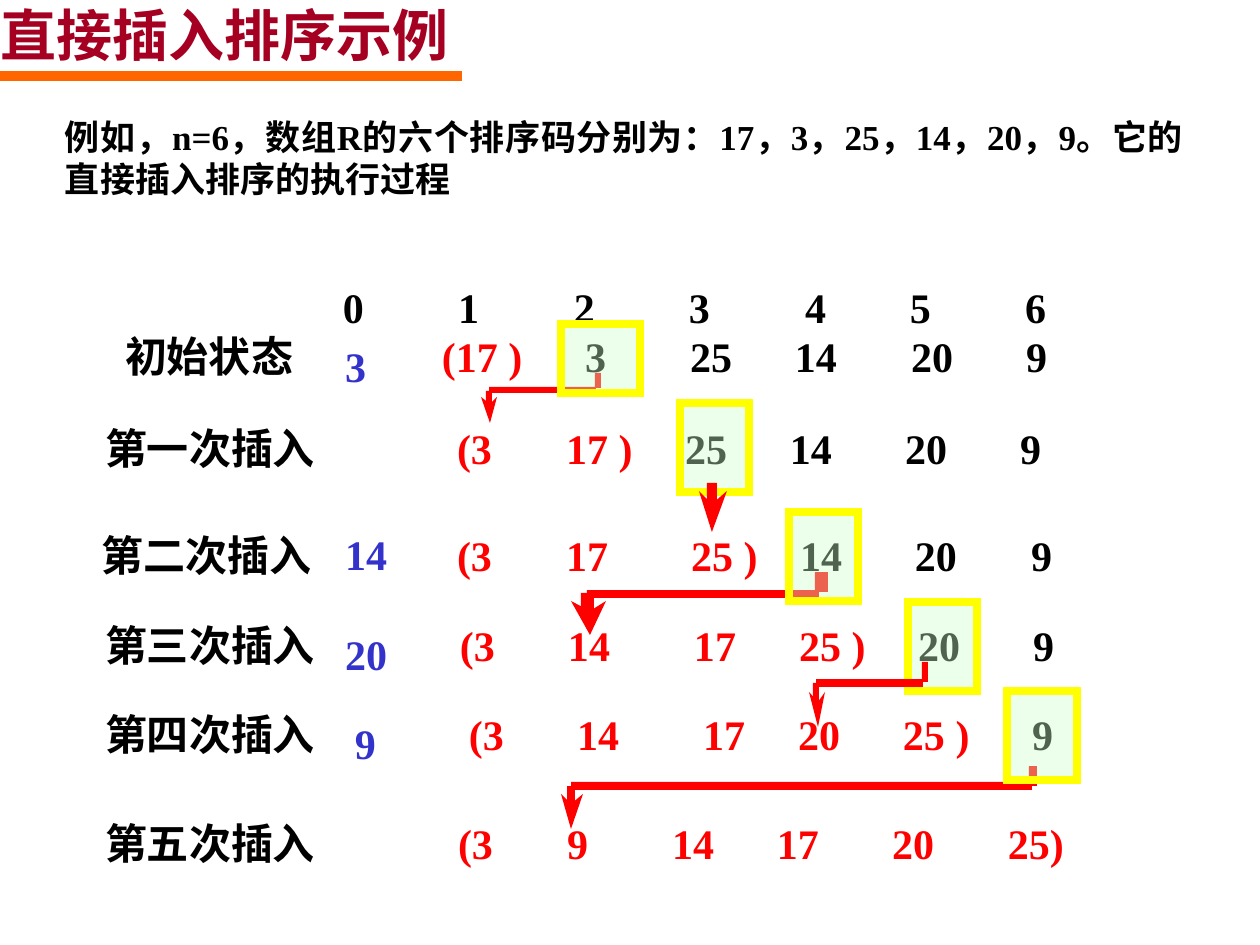
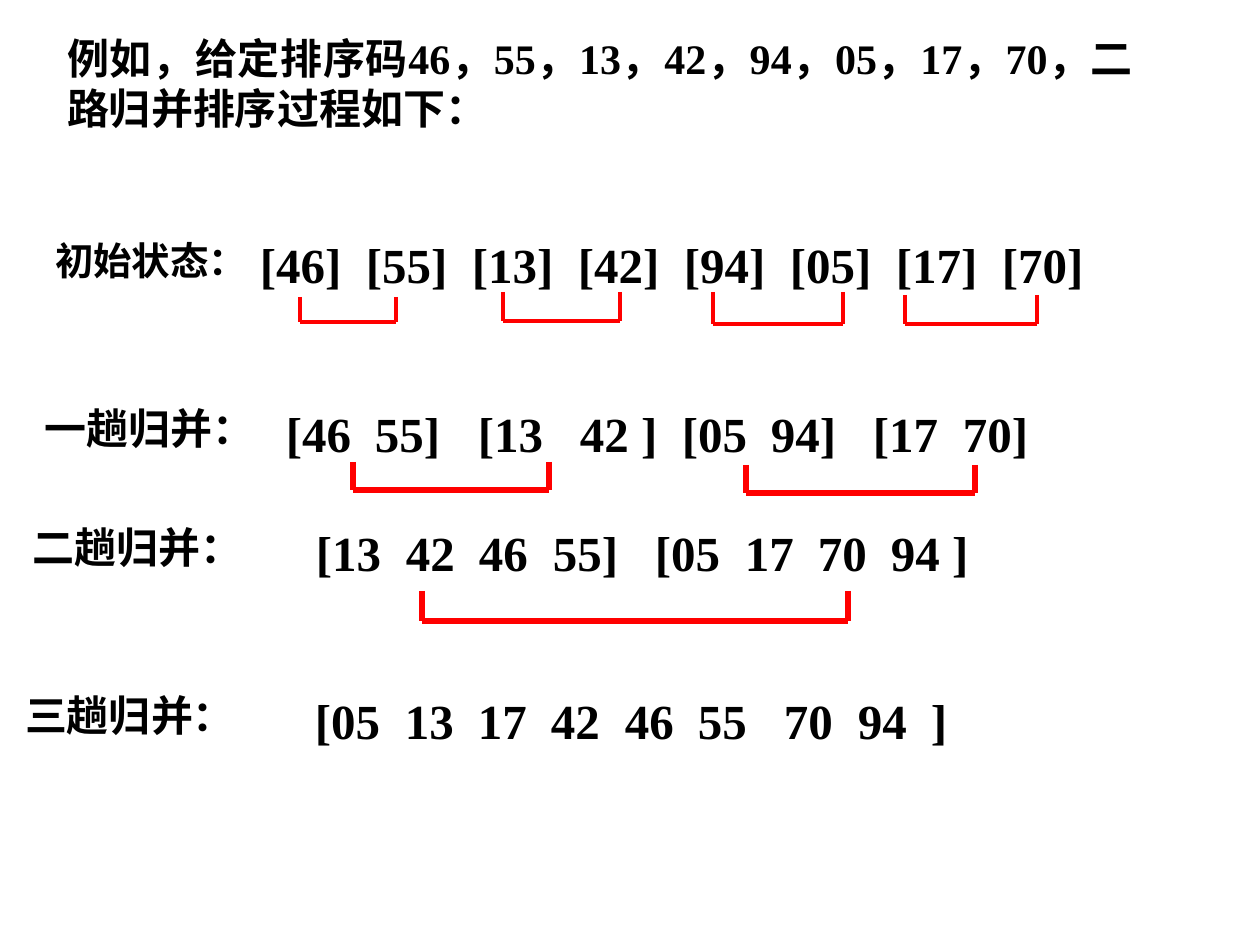
from lxml.etree import SubElement
from pptx import Presentation
from pptx.dml.color import RGBColor
from pptx.enum.shapes import MSO_CONNECTOR as Connector, MSO_SHAPE as Shape
from pptx.enum.text import MSO_ANCHOR as Anchor, MSO_AUTO_SIZE as AutoSize, PP_ALIGN as Align
from pptx.oxml.ns import qn
from pptx.util import Inches, Pt

BLACK = RGBColor(0, 0, 0)
RED = RGBColor(0xFF, 0, 0)
BLUE = RGBColor(0x33, 0x33, 0xCC)
CRIMSON = RGBColor(0xA5, 0, 0x21)
ORANGE = RGBColor(0xFF, 0x66, 0)
YELLOW = RGBColor(0xFF, 0xFF, 0)
MINT = RGBColor(0xCC, 0xFF, 0xCC)
LATIN, CJK = "Times New Roman", "Noto Sans CJK SC"
SCALE = Inches(1) / 126
INSET = (13, 6)

INSERTION = {
    "title": "直接插入排序示例",
    "intro": "例如，n=6，数组R的六个排序码分别为：17，3，25，14，20，9。它的直接插入排序的执行过程",
    "intro_at": (52, 109, 1144, 97),
    "intro_size": 20,
}
INDEXES = [(343, "0"), (458, "1"), (574, "2"), (689, "3"), (805, "4"), (910, "5"), (1025, "6")]
INSERTION_ROWS = [
    ("初始状态", 125, 331, 1,
     [(442, "(17 )"), (585, "3"), (690, "25"), (795, "14"), (911, "20"), (1026, "9")]),
    ("第一次插入", 105, 423, 2,
     [(457, "(3"), (566, "17 )"), (685, "25"), (790, "14"), (905, "20"), (1020, "9")]),
    ("第二次插入", 102, 530, 3,
     [(457, "(3"), (566, "17"), (691, "25 )"), (800, "14"), (915, "20"), (1031, "9")]),
    ("第三次插入", 105, 620, 4,
     [(460, "(3"), (568, "14"), (694, "17"), (799, "25 )"), (918, "20"), (1033, "9")]),
    ("第四次插入", 105, 709, 5,
     [(469, "(3"), (577, "14"), (703, "17"), (798, "20"), (903, "25 )"), (1032, "9")]),
    ("第五次插入", 105, 818, 6,
     [(458, "(3"), (567, "9"), (672, "14"), (777, "17"), (892, "20"), (1008, "25)")]),
]
SENTINELS = [("3", 332, 335), ("14", 332, 523), ("20", 332, 623), ("9", 342, 712)]
NEXT_KEYS = [(561, 324, 79, 69), (680, 403, 69, 89), (789, 512, 69, 89),
             (908, 602, 69, 89), (1007, 691, 70, 89)]
MOVES_UNDER = [
    ([(486, 391, 6, 18), (489, 387, 107, 6), (595, 373, 6, 15)], (481, 490, 497, 397, 404, 423)),
    ([(581, 593, 13, 23), (587, 590, 232, 8), (815, 572, 13, 20)], (571, 590, 606, 601, 611, 635)),
    ([(567, 786, 8, 21), (571, 782, 461, 8), (1029, 766, 8, 20)], (561, 571, 583, 794, 804, 829)),
]
MOVES_OVER = [
    ([(707, 483, 10, 26)], (699, 712, 727, 491, 504, 532)),
    ([(813, 683, 6, 23), (816, 679, 107, 8), (922, 662, 6, 20)], (809, 818, 825, 692, 702, 727)),
]

MERGE = {
    "title": "",
    "intro": "例如，给定排序码46，55，13，42，94，05，17，70，二路归并排序过程如下：",
    "intro_at": (54, 26, 1092, 113),
    "intro_size": 24,
}
START_KEYS = ["46", "55", "13", "42", "94", "05", "17", "70"]
MERGE_ROWS = [
    ("初始状态：", 55, 237, 22, 234,
     [(260 + 106 * i, f"[{key}]") for i, key in enumerate(START_KEYS)]),
    ("一趟归并：", 45, 403, 24, 403,
     [(286, "[46"), (375, "55]"), (478, "[13"), (580, "42 ]"),
      (682, "[05"), (771, "94]"), (873, "[17"), (963, "70]")]),
    ("二趟归并：", 33, 522, 24, 522,
     [(316, "[13"), (406, "42"), (479, "46"), (553, "55]"),
      (655, "[05"), (745, "17"), (818, "70"), (891, "94 ]")]),
    ("三趟归并：", 25, 690, 24, 690,
     [(315, "[05"), (405, "13"), (478, "17"), (551, "42"), (625, "46"),
      (698, "55"), (784, "70"), (858, "94"), (931, "]")]),
]
PAIRINGS = [
    (2.38, [(300, 297, 396, 322), (503, 292, 620, 321), (713, 292, 843, 324), (905, 295, 1037, 324)]),
    (3.12, [(353, 462, 549, 490), (746, 465, 975, 493)]),
    (3.37, [(422, 591, 848, 621)]),
]


def px(*lengths):
    return [round(length * SCALE) for length in lengths]


def write(shape, words, size=24, font=LATIN, color=BLACK, align=Align.LEFT, inset=(0, 0)):
    frame = shape.text_frame
    frame.word_wrap = True
    frame.auto_size = AutoSize.NONE
    frame.vertical_anchor = Anchor.TOP
    frame.margin_left, frame.margin_top = px(*inset)
    frame.margin_right, frame.margin_bottom = px(*inset)
    paragraph = frame.paragraphs[0]
    props = paragraph._p.get_or_add_pPr()
    props.set("marL", "0")
    props.set("indent", "0")
    SubElement(props, qn("a:buNone"))
    paragraph.alignment = align
    paragraph.space_before = Pt(0)
    run = paragraph.add_run()
    run.text = words
    run.font.size, run.font.bold, run.font.name = Pt(size), True, font
    run.font.color.rgb = color
    SubElement(run._r.get_or_add_rPr(), qn("a:ea"), typeface=CJK)


def add_text(slide, at, words, **style):
    write(slide.shapes.add_textbox(*px(*at)), words, **style)


def add_keys(slide, top, keys, sorted_count=0, size=24):
    for index, (left, key) in enumerate(keys):
        color = RED if index < sorted_count else BLACK
        width = len(key) * size * 7 // 8
        add_text(slide, (left, top, width, size * 2), key, size=size, color=color)


def add_line(slide, x1, y1, x2, y2, color, width):
    line = slide.shapes.add_connector(Connector.STRAIGHT, *px(x1, y1, x2, y2))
    line.line.color.rgb = color
    line.line.width = Pt(width)
    SubElement(line._element.spPr, qn("a:effectLst"))


def paint(shape, color):
    shape.shadow.inherit = False
    shape.fill.solid()
    shape.fill.fore_color.rgb = color
    shape.line.fill.background()


def add_move(slide, bars, head):
    for bar in bars:
        paint(slide.shapes.add_shape(Shape.RECTANGLE, *px(*bar)), RED)
    left, tip, right, top, notch, bottom = head
    builder = slide.shapes.build_freeform(left, top, scale=SCALE)
    builder.add_line_segments([(tip, bottom), (right, top), (tip, notch)], close=True)
    paint(builder.convert_to_shape(), RED)


def add_next_key(slide, at):
    box = slide.shapes.add_shape(Shape.RECTANGLE, *px(*at))
    paint(box, MINT)
    tint = box._element.spPr.find(qn("a:solidFill")).find(qn("a:srgbClr"))
    SubElement(tint, qn("a:alpha"), val="39000")
    box.line.color.rgb = YELLOW
    box.line.width = Pt(4.5)
    SubElement(box.line._get_or_add_ln(), qn("a:miter"), lim="800000")


def place(shape, at):
    shape.left, shape.top, shape.width, shape.height = px(*at)


def start_slide(deck, content):
    slide = deck.slides.add_slide(deck.slide_layouts[1])
    title, intro = slide.placeholders
    place(intro, content["intro_at"])
    write(intro, content["intro"], size=content["intro_size"], align=Align.JUSTIFY, inset=INSET)
    if content["title"]:
        place(title, (0, 0, 462, 67))
        write(title, content["title"], size=32, font=CJK, color=CRIMSON)
        add_line(slide, 0, 76, 462, 76, ORANGE, 6)
    else:
        title._element.getparent().remove(title._element)
    return slide


def build_insertion(deck):
    slide = start_slide(deck, INSERTION)
    for bars, head in MOVES_UNDER:
        add_move(slide, bars, head)
    add_keys(slide, 282, INDEXES)
    for label, left, top, sorted_count, keys in INSERTION_ROWS:
        add_text(slide, (left, top, 220, 50), label, font=CJK)
        add_keys(slide, top, keys, sorted_count)
    for at in NEXT_KEYS:
        add_next_key(slide, at)
    for bars, head in MOVES_OVER:
        add_move(slide, bars, head)
    for key, left, top in SENTINELS:
        add_text(slide, (left, top, 70, 63), key, color=BLUE, inset=INSET)


def build_merge(deck):
    slide = start_slide(deck, MERGE)
    for label, left, label_top, label_size, top, keys in MERGE_ROWS:
        add_text(slide, (left, label_top, 220, 50), label, size=label_size, font=CJK)
        add_keys(slide, top, keys, size=28)
    for width, brackets in PAIRINGS:
        for left, top, right, bottom in brackets:
            add_line(slide, left, top, left, bottom, RED, width)
            add_line(slide, right, top, right, bottom, RED, width)
            add_line(slide, left, bottom, right, bottom, RED, width)


def main():
    deck = Presentation()
    deck.slide_width, deck.slide_height = px(1260, 945)
    build_insertion(deck)
    build_merge(deck)
    deck.save("out.pptx")


if __name__ == "__main__":
    main()
